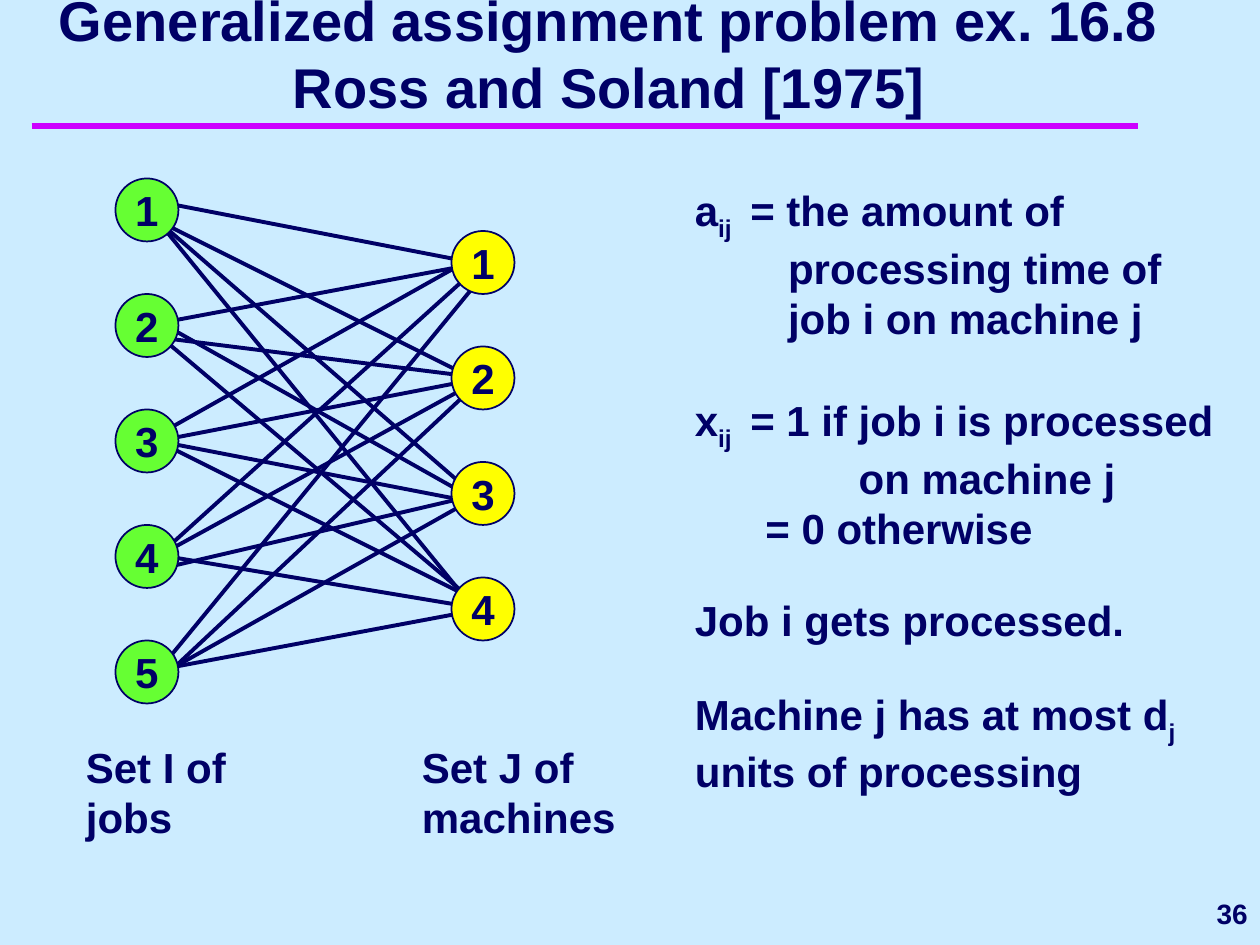
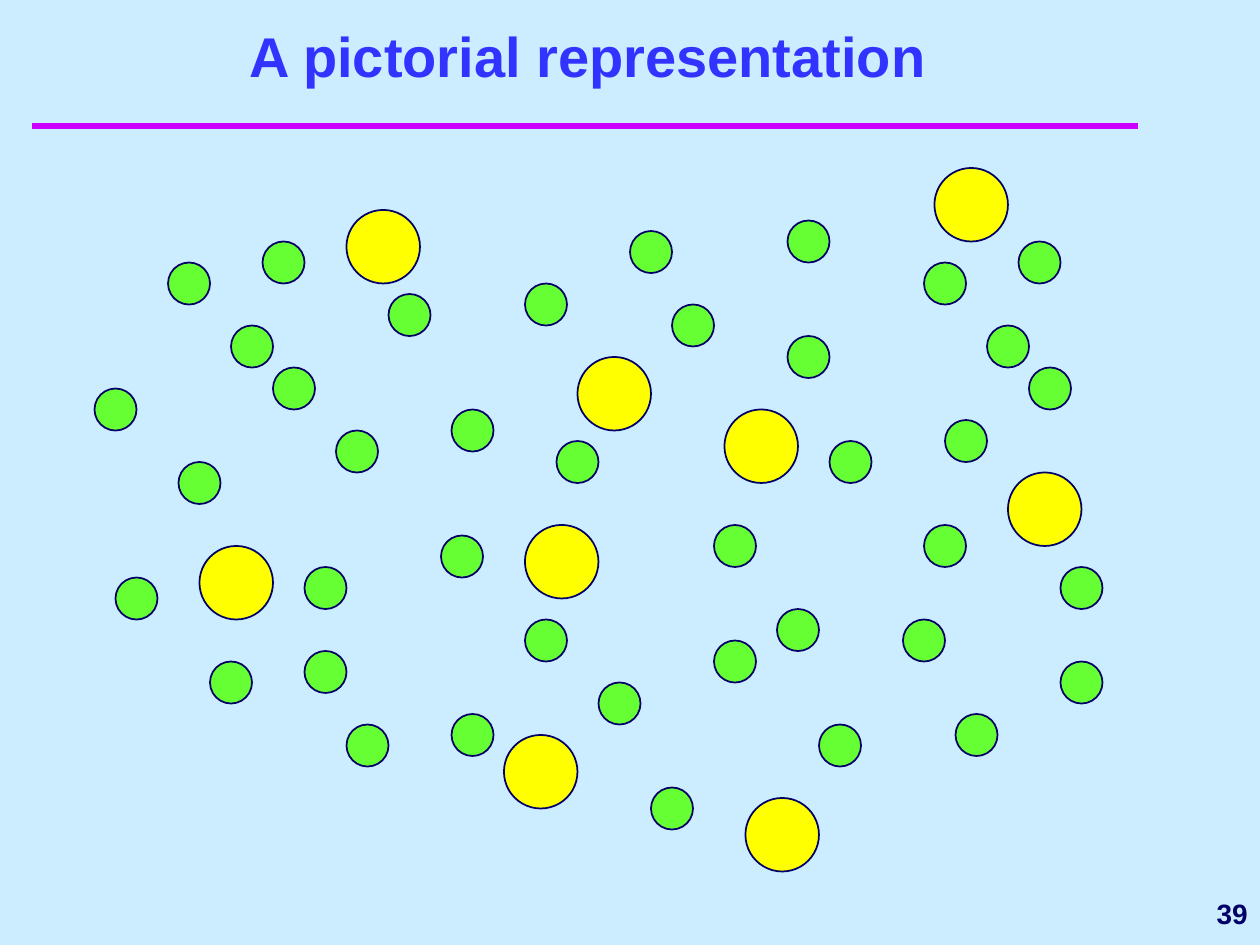
from lxml.etree import SubElement
from pptx import Presentation
from pptx.dml.color import RGBColor
from pptx.enum.shapes import MSO_CONNECTOR, MSO_SHAPE
from pptx.enum.text import MSO_ANCHOR, PP_ALIGN
from pptx.oxml.ns import qn
from pptx.util import Inches, Pt

CELLS_PER_INCH = 12
FONT = "Arial"
BACKGROUND, NAVY, BLUE = "CCECFF", "000066", "3333FF"
MAGENTA, GREEN, YELLOW = "CC00FF", "66FF33", "FFFF00"

ASSIGNMENT_TITLE = ["Generalized assignment problem ex. 16.8", "Ross and Soland [1975]"]
PICTORIAL_TITLE = ["A pictorial representation"]

NODE_SIZE, NODE_STEP = 6, 11
NODE_COLUMNS = [
    {"left": 11, "top": 17, "count": 5, "color": GREEN},
    {"left": 43, "top": 22, "count": 4, "color": YELLOW},
]
JOB_TO_MACHINE_LINES = [
    [(14, 19, 45, 25), (15, 21, 45, 36), (15, 21, 45, 47), (15, 21, 46, 59)],
    [(14, 31, 46, 25), (14, 32, 46, 36), (14, 30, 46, 48), (14, 31, 46, 58)],
    [(14, 42, 46, 24), (15, 42, 46, 36), (15, 42, 46, 48), (15, 42, 47, 58)],
    [(15, 53, 46, 25), (15, 53, 46, 36), (16, 54, 46, 47), (16, 53, 46, 58)],
    [(15, 64, 47, 25), (14, 66, 46, 36), (14, 65, 46, 47), (14, 64, 46, 58)],
]

SYMBOL_WIDTH = 0.44
NOTES = [
    ((65, 17, 49, 16), [
        (SYMBOL_WIDTH, ["a", ("ij",), "\t= the amount of"]),
        (0.74, ["processing time of"]),
        (0.74, ["job i on machine j"]),
    ]),
    ((65, 37, 53, 16), [
        (SYMBOL_WIDTH, ["x", ("ij",), "\t= 1 if job i is processed"]),
        (1.3, ["on machine j"]),
        (0.56, ["= 0 otherwise"]),
    ]),
    ((65, 56, 50, 11), [(0, ["Job i gets processed."])]),
    ((65, 65, 50, 11), [(0, ["Machine j has at most d", ("j",), " units of processing"])]),
    ((7, 70, 17, 11), [(0, ["Set I of jobs"])]),
    ((39, 70, 21, 11), [(0, ["Set J of machines"])]),
]

SMALL_SIZE, LARGE_SIZE = 4, 7
SMALL_CIRCLES = [
    (16, 25), (9, 37), (25, 23), (22, 31), (37, 28), (26, 35), (20, 63), (64, 29),
    (32, 41), (43, 39), (86, 59), (17, 44), (50, 27), (42, 51), (29, 54), (68, 50),
    (75, 32), (50, 59), (53, 42), (43, 68), (90, 40), (68, 61), (60, 22), (88, 25),
    (79, 42), (97, 23), (94, 31), (98, 35), (88, 50), (101, 54), (78, 69), (75, 21),
    (91, 68), (74, 58), (101, 63), (33, 69), (57, 65), (11, 55), (29, 62), (62, 75),
]
LARGE_CIRCLES = [
    (19, 52), (55, 34), (69, 39), (33, 20), (48, 70), (71, 76), (96, 45), (50, 50), (89, 16),
]


def rgb(color):
    return RGBColor.from_string(color)


def cells(*lengths):
    return [Inches(length / CELLS_PER_INCH) for length in lengths]


def add_run(paragraph, text, size, color=NAVY, subscript=False):
    run = paragraph.add_run()
    run.text = text
    run.font.name, run.font.size, run.font.bold = FONT, Pt(size), True
    run.font.color.rgb = rgb(color)
    if subscript:
        run.font._element.set("baseline", "-25000")


def add_text(slide, box, lines, size=24, color=NAVY, align=PP_ALIGN.LEFT, anchor=MSO_ANCHOR.TOP):
    frame = slide.shapes.add_textbox(*cells(*box)).text_frame
    frame.word_wrap, frame.vertical_anchor = True, anchor
    for index, (indent, parts) in enumerate(lines):
        paragraph = frame.add_paragraph() if index else frame.paragraphs[0]
        paragraph.alignment = align
        properties = paragraph._p.get_or_add_pPr()
        properties.set("marL", str(Inches(indent)))
        if len(parts) > 1 and indent:
            properties.set("indent", str(-Inches(indent)))
        for part in parts:
            subscript = isinstance(part, tuple)
            add_run(paragraph, part[0] if subscript else part, size, color, subscript)


def add_line(slide, ends, color, width):
    line = slide.shapes.add_connector(MSO_CONNECTOR.STRAIGHT, *cells(*ends))
    line.line.color.rgb, line.line.width = rgb(color), Pt(width)
    SubElement(line._element.spPr, qn("a:effectLst"))


def add_circle(slide, left, top, size, color, label=""):
    circle = slide.shapes.add_shape(MSO_SHAPE.OVAL, *cells(left, top, size, size))
    circle.shadow.inherit = False
    circle.fill.solid()
    circle.fill.fore_color.rgb = rgb(color)
    circle.line.color.rgb, circle.line.width = rgb(NAVY), Pt(1)
    if label:
        frame = circle.text_frame
        frame.word_wrap, frame.vertical_anchor = False, MSO_ANCHOR.MIDDLE
        frame.paragraphs[0].alignment = PP_ALIGN.CENTER
        add_run(frame.paragraphs[0], label, 24)


def add_slide(presentation, title, title_box, title_color, number):
    slide = presentation.slides.add_slide(presentation.slide_layouts[6])
    slide.background.fill.solid()
    slide.background.fill.fore_color.rgb = rgb(BACKGROUND)
    add_line(slide, (3, 12, 108.36, 12), MAGENTA, 4)
    add_text(slide, (97, 84, 23, 6), [(0, [number])], 16,
             align=PP_ALIGN.RIGHT, anchor=MSO_ANCHOR.MIDDLE)
    add_text(slide, title_box, [(0, [line]) for line in title], 32, title_color,
             PP_ALIGN.CENTER, MSO_ANCHOR.BOTTOM)
    return slide


def build_assignment(presentation):
    slide = add_slide(presentation, ASSIGNMENT_TITLE, (0, -1, 116, 13), NAVY, "36")
    for job_lines in JOB_TO_MACHINE_LINES:
        for ends in job_lines:
            add_line(slide, ends, NAVY, 2.25)
    for column in NODE_COLUMNS:
        for index in range(column["count"]):
            add_circle(slide, column["left"], column["top"] + index * NODE_STEP,
                       NODE_SIZE, column["color"], str(index + 1))
    for box, lines in NOTES:
        add_text(slide, box, lines)


def build_pictorial(presentation):
    slide = add_slide(presentation, PICTORIAL_TITLE, (5, 4, 102, 5), BLUE, "39")
    for circles, size, color in [(SMALL_CIRCLES, SMALL_SIZE, GREEN),
                                 (LARGE_CIRCLES, LARGE_SIZE, YELLOW)]:
        for left, top in circles:
            add_circle(slide, left, top, size, color)


def main():
    presentation = Presentation()
    presentation.slide_width, presentation.slide_height = Inches(10), Inches(7.5)
    build_assignment(presentation)
    build_pictorial(presentation)
    presentation.save("out.pptx")


if __name__ == "__main__":
    main()
